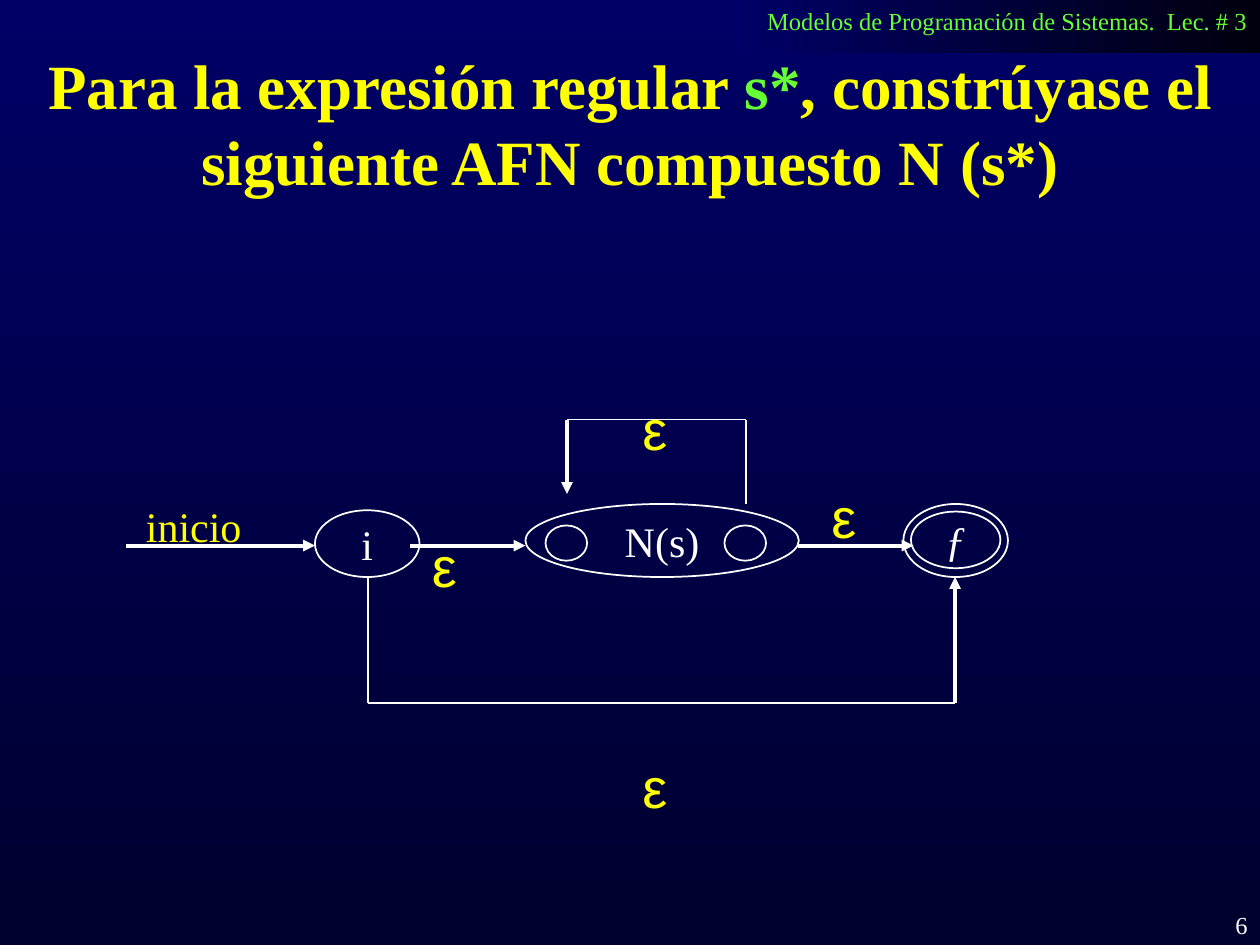
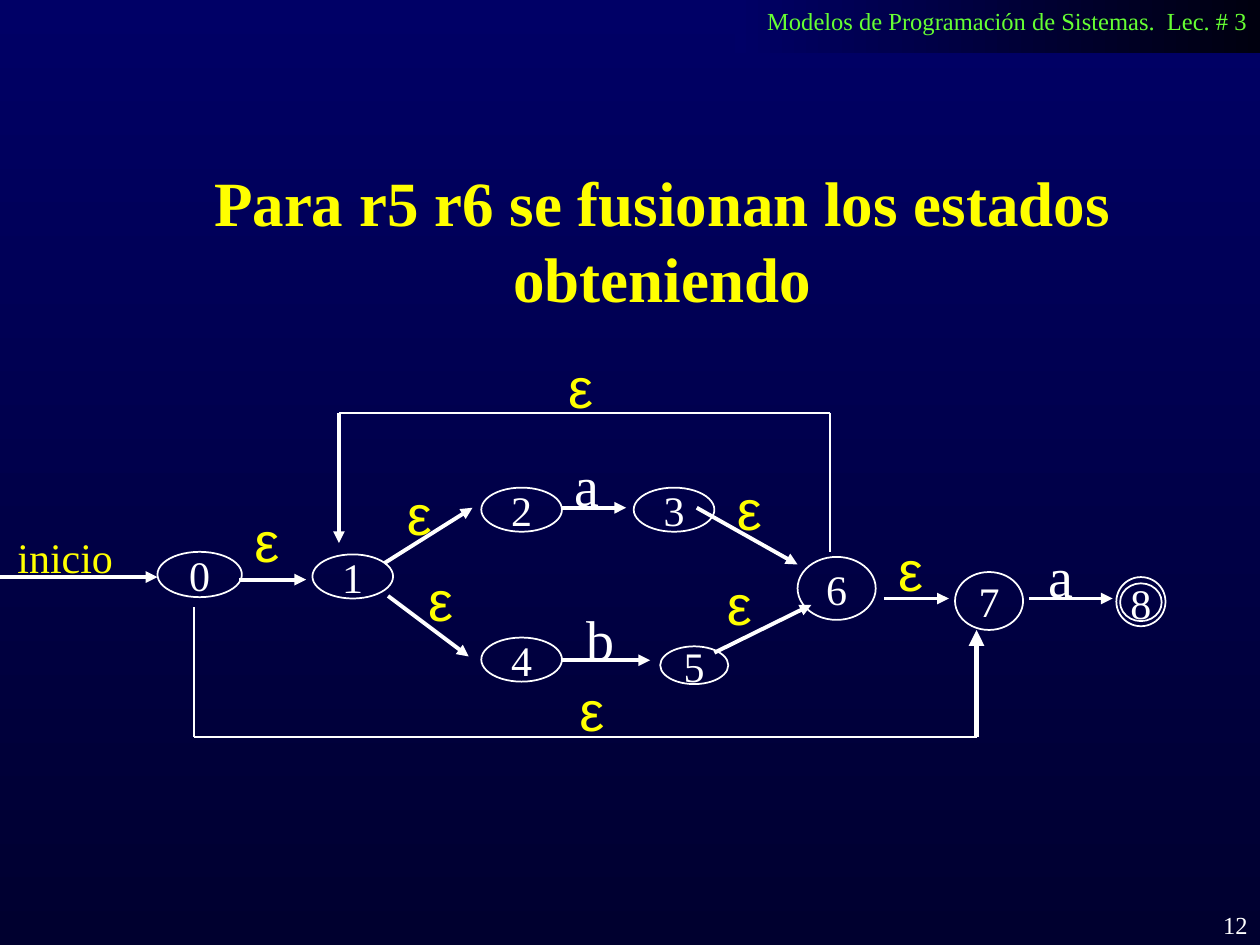
"""Build two slides that show nondeterministic automata for regular expressions."""
import itertools

import pptx
import pptx.dml.color
import pptx.enum.shapes
import pptx.enum.text
import pptx.oxml.ns
import pptx.oxml.xmlchemy
import pptx.util
from pptx.util import Inches

COLORS = {
    "top": "000066",
    "bottom": "00002F",
    "band": "00000F",
    "accent": "66FF33",
    "title": "FFFF00",
    "ink": "FFFFFF",
}
SERIF, SANS = "Times New Roman", "Arial"
SHAPES = pptx.enum.shapes.MSO_SHAPE
ALIGN = pptx.enum.text.PP_ALIGN
ANCHOR = pptx.enum.text.MSO_ANCHOR
FIT = pptx.enum.text.MSO_AUTO_SIZE
TITLE_ONLY = 5


def rgb(name):
    return pptx.dml.color.RGBColor.from_string(COLORS[name])


class AutomatonDeck:
    def __init__(self):
        self.deck = pptx.Presentation()
        self.deck.slide_width, self.deck.slide_height = Inches(10), Inches(7.5)
        self.layout = self.deck.slide_layouts[TITLE_ONLY]
        self.gradient(self.layout.background.fill, "top", "bottom", 270)
        self.page = None

    def gradient(self, fill, start, end, angle):
        fill.gradient()
        fill.gradient_angle = angle
        for stop, name in zip(fill.gradient_stops, (start, end)):
            stop.color.rgb = rgb(name)

    def style(self, font, size, color="ink", face=SERIF):
        font.name, font.size = face, pptx.util.Pt(size)
        font.color.rgb = rgb(color)

    def new_page(self, number, title_spans, left, top, width, height):
        self.page = self.deck.slides.add_slide(self.layout)
        band = self.page.shapes.add_shape(
            SHAPES.RECTANGLE, Inches(5.83), 0, Inches(4.17), Inches(0.42))
        band.shadow.inherit = False
        band.line.fill.background()
        self.gradient(band.fill, "band", "top", 180)
        self.label("Modelos de Programación de Sistemas.  Lec. # 3",
                   5.99, 0, 4.01, 0.34, 14, "accent")
        self.title(title_spans, left, top, width, height)
        footer = self.label(str(number), 7.92, 7.17, 2.08, 0.33, 14, "ink")
        footer.text_frame.auto_size = FIT.NONE
        footer.text_frame.word_wrap = True
        footer.text_frame.paragraphs[0].alignment = ALIGN.RIGHT

    def title(self, spans, left, top, width, height):
        box = self.page.shapes.title
        box.left, box.top = Inches(left), Inches(top)
        box.width, box.height = Inches(width), Inches(height)
        frame = box.text_frame
        frame.auto_size, frame.vertical_anchor = FIT.NONE, ANCHOR.TOP
        para = frame.paragraphs[0]
        para.alignment = ALIGN.CENTER
        self.style(para.font, 36, "title")
        para.font.bold = True
        for text, color in spans:
            span = para.add_run()
            span.text = text
            span.font.color.rgb = rgb(color)

    def label(self, text, left, top, width, height, size, color, face=SERIF):
        box = self.page.shapes.add_textbox(
            Inches(left), Inches(top), Inches(width), Inches(height))
        frame = box.text_frame
        frame.word_wrap, frame.auto_size = False, FIT.SHAPE_TO_FIT_TEXT
        frame.text = text
        self.style(frame.paragraphs[0].font, size, color, face)
        return box

    def start(self, left, top):
        self.label("inicio", left, top, 1.09, 0.5, 24, "title")

    def epsilon(self, left, top):
        self.label("ε", left, top, 0.39, 0.64, 32, "title", SANS)

    def symbol(self, text, left, top):
        self.label(text, left, top, 0.45, 0.64, 32, "ink")

    def state(self, text, left, top, width, height, italic=False):
        oval = self.page.shapes.add_shape(
            SHAPES.OVAL, Inches(left), Inches(top), Inches(width), Inches(height))
        oval.shadow.inherit = False
        oval.fill.background()
        oval.line.color.rgb, oval.line.width = rgb("ink"), pptx.util.Pt(1)
        if text:
            frame = oval.text_frame
            frame.word_wrap, frame.vertical_anchor = False, ANCHOR.MIDDLE
            frame.text = text
            para = frame.paragraphs[0]
            para.alignment = ALIGN.CENTER
            self.style(para.font, 24)
            para.font.italic = italic
        return oval

    def group(self, *states):
        self.page.shapes.add_group_shape(states)

    def line(self, start, end, weight=1.0):
        connector = self.page.shapes.add_connector(
            pptx.enum.shapes.MSO_CONNECTOR.STRAIGHT, *map(Inches, start + end))
        connector.line.color.rgb = rgb("ink")
        connector.line.width = pptx.util.Pt(weight)
        properties = connector._element.spPr
        properties.append(pptx.oxml.xmlchemy.OxmlElement("a:effectLst"))
        return connector

    def arrow(self, start, end, weight=2.25):
        connector = self.line(start, end, weight)
        head = pptx.oxml.xmlchemy.OxmlElement("a:tailEnd")
        head.set("type", "triangle")
        connector._element.spPr.find(pptx.oxml.ns.qn("a:ln")).append(head)

    def detour(self, *points, weight=2.25):
        for start, end in itertools.pairwise(points[:-1]):
            self.line(start, end)
        self.arrow(points[-2], points[-1], weight)


def closure_page(show):
    show.new_page(6, [("Para la expresión regular ", "title"), ("s*", "accent"),
                      (", constrúyase el siguiente AFN compuesto N (s*)", "title")],
                  0, 0.32, 10, 1.9)
    show.start(1.06, 3.92)
    show.state("i", 2.5, 4.05, 0.83, 0.53)
    show.group(show.state("", 7.17, 4, 0.83, 0.58),
               show.state("ƒ", 7.23, 4.06, 0.71, 0.45, italic=True))
    show.group(show.state("N(s)", 4.17, 4, 2.17, 0.58),
               *[show.state("", left, 4.17, 0.33, 0.28) for left in (4.33, 5.75)])
    for left, right in ((1, 2.5), (3.25, 4.17), (6.33, 7.25)):
        show.arrow((left, 4.33), (right, 4.33))
    show.detour((2.92, 4.58), (2.92, 5.58), (7.58, 5.58), (7.58, 4.58))
    show.detour((5.92, 4), (5.92, 3.33), (4.5, 3.33), (4.5, 3.92))
    for left, top in ((3.33, 4.17), (6.5, 3.78), (5, 5.92), (5, 3.08)):
        show.epsilon(left, top)


def merged_page(show):
    show.new_page(12, [("Para r5 r6 se fusionan los estados obteniendo", "title")],
                  0.92, 1.25, 8.67, 1.3)
    show.start(0.04, 4.17)
    states = (
        ("0", 1.25, 4.38, 0.67, 0.36), ("1", 2.48, 4.4, 0.64, 0.35),
        ("2", 3.82, 3.87, 0.64, 0.35), ("3", 5.03, 3.87, 0.64, 0.35),
        ("4", 3.82, 5.06, 0.64, 0.35), ("5", 5.24, 5.13, 0.54, 0.3),
        ("6", 6.33, 4.42, 0.62, 0.5), ("7", 7.58, 4.54, 0.54, 0.46),
    )
    for state in states:
        show.state(*state)
    show.group(show.state("", 8.86, 4.58, 0.39, 0.39),
               show.state("8", 8.89, 4.63, 0.33, 0.3))
    transitions = (
        ((0, 4.58), (1.25, 4.58)), ((1.9, 4.6), (2.43, 4.6)),
        ((3.05, 4.47), (3.75, 4.03)), ((3.08, 4.73), (3.72, 5.21)),
        ((4.46, 4.03), (4.97, 4.03)), ((4.46, 5.24), (5.16, 5.24)),
        ((5.53, 4.03), (6.33, 4.48)), ((5.67, 5.18), (6.44, 4.8)),
        ((7.02, 4.75), (7.53, 4.75)), ((8.17, 4.75), (8.83, 4.75)),
    )
    for start, end in transitions:
        show.arrow(start, end)
    show.detour((1.54, 4.82), (1.54, 5.85), (7.75, 5.85), (7.75, 5), weight=3)
    show.detour((6.59, 4.38), (6.59, 3.28), (2.69, 3.28), (2.69, 4.31))
    for left, top in ((1.92, 3.97), (3.13, 3.76), (3.3, 4.44), (5.75, 3.72),
                      (5.67, 4.47), (7.03, 4.2), (4.41, 2.75), (4.5, 5.31)):
        show.epsilon(left, top)
    for text, left, top in (("a", 4.46, 3.53), ("b", 4.56, 4.75), ("a", 8.22, 4.25)):
        show.symbol(text, left, top)


def main():
    show = AutomatonDeck()
    closure_page(show)
    merged_page(show)
    show.deck.save("out.pptx")


if __name__ == "__main__":
    main()
